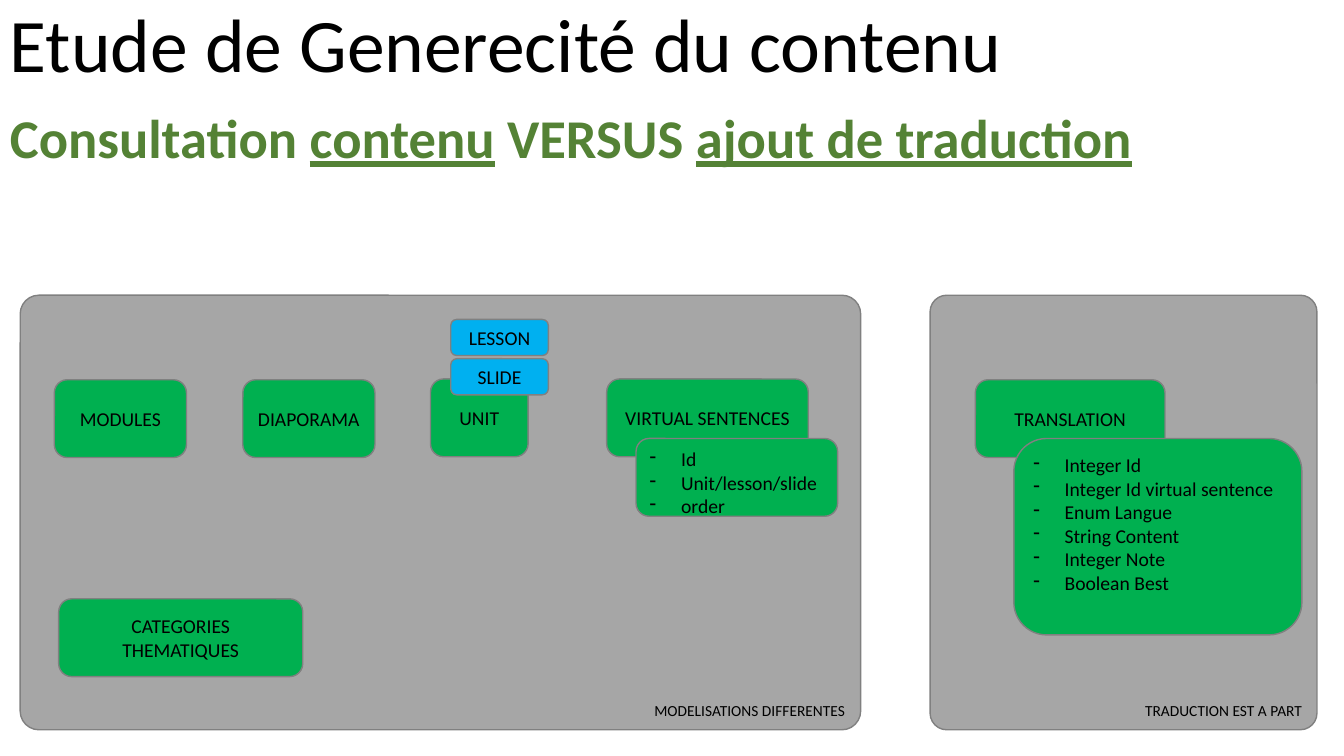
import pptx
import pptx.dml.color
import pptx.enum.shapes
import pptx.enum.text
import pptx.util
from lxml import etree

Cm, Pt = pptx.util.Cm, pptx.util.Pt
RGBColor = pptx.dml.color.RGBColor
ANCHOR = pptx.enum.text.MSO_ANCHOR
ALIGN = pptx.enum.text.PP_ALIGN

BLACK = RGBColor(0x00, 0x00, 0x00)
PANEL_GREY = RGBColor(0xA6, 0xA6, 0xA6)
BORDER_GREY = RGBColor(0x80, 0x80, 0x80)
ENTITY_GREEN = RGBColor(0x00, 0xB0, 0x50)
VARIANT_BLUE = RGBColor(0x00, 0xB0, 0xF0)
HEADING_GREEN = RGBColor(0x54, 0x82, 0x35)

FONT = "Calibri"
SLIDE_WIDTH, SLIDE_HEIGHT = 33.87, 19.05
ENTITY_HEIGHT = 1.96
ENTITY_TOP = 2.13
FIELDS_TOP = 3.61
FIELD_INDENT = 0.79


def style_run(run, size, color=BLACK, bold=False, underline=False):
    run.font.name = FONT
    run.font.size = Pt(size)
    run.font.color.rgb = color
    run.font.bold = bold
    run.font.underline = underline


def add_heading(slide, box, pieces, size, color=BLACK, bold=False):
    """Add a heading line from (text, underlined) pieces."""
    frame = slide.shapes.add_textbox(*map(Cm, box)).text_frame
    frame.word_wrap = True
    frame.vertical_anchor = ANCHOR.BOTTOM
    line = frame.paragraphs[0]
    line.line_spacing = 0.9
    for text, underlined in pieces:
        run = line.add_run()
        run.text = text
        style_run(run, size, color, bold, underlined)


def add_rounded_box(slide, box, text, fill=ENTITY_GREEN, size=14,
                    align=ALIGN.CENTER, anchor=ANCHOR.MIDDLE):
    rounded = slide.shapes.add_shape(
        pptx.enum.shapes.MSO_SHAPE.ROUNDED_RECTANGLE, *map(Cm, box))
    rounded.shadow.inherit = False
    rounded.fill.solid()
    rounded.fill.fore_color.rgb = fill
    rounded.line.color.rgb = BORDER_GREY
    rounded.line.width = Pt(1)
    frame = rounded.text_frame
    frame.word_wrap = True
    frame.vertical_anchor = anchor
    frame.text = text
    for paragraph in frame.paragraphs:
        paragraph.alignment = align
        style_run(paragraph.runs[0], size)
    return rounded


def add_fields(slide, box, fields):
    """Add a box listing the fields of an entity with dashes."""
    listing = add_rounded_box(slide, box, "\n".join(fields),
                              align=ALIGN.LEFT, anchor=ANCHOR.TOP)
    for paragraph in listing.text_frame.paragraphs:
        properties = paragraph._p.get_or_add_pPr()
        properties.set("marL", str(Cm(FIELD_INDENT)))
        properties.set("indent", str(-Cm(FIELD_INDENT)))
        bullet = etree.SubElement(properties, pptx.oxml.ns.qn("a:buChar"))
        bullet.set("char", "-")


def add_panel(slide, box, caption):
    panel = add_rounded_box(slide, box, caption, PANEL_GREY, 11,
                            ALIGN.RIGHT, ANCHOR.BOTTOM)
    panel.adjustments[0] = 0.043


def add_content_panel(slide, box):
    left, top = box[:2]
    add_panel(slide, box, "MODELISATIONS DIFFERENTES")
    entities = [
        ("CATEGORIES THEMATIQUES", 0.97, 7.65, 6.15),
        ("MODULES", 0.86, ENTITY_TOP, 3.33),
        ("DIAPORAMA", 5.61, ENTITY_TOP, 3.33),
        ("UNIT", 10.34, ENTITY_TOP - 0.02, 2.46),
        ("VIRTUAL SENTENCES", 14.78, ENTITY_TOP - 0.02, 5.08),
    ]
    for name, x, y, width in entities:
        add_rounded_box(slide, (left + x, top + y, width, ENTITY_HEIGHT), name)
    for name, y in (("SLIDE", 1.6), ("LESSON", 0.61)):
        add_rounded_box(slide, (left + 10.85, top + y, 2.46, 0.91), name,
                        VARIANT_BLUE)
    add_fields(slide, (left + 15.52, top + FIELDS_TOP, 5.08, ENTITY_HEIGHT),
               ["Id", "Unit/lesson/slide", "order"])


def add_translation_panel(slide, box):
    left, top = box[:2]
    add_panel(slide, box, "TRADUCTION EST A PART")
    add_rounded_box(slide, (left + 1.14, top + ENTITY_TOP, 4.78, ENTITY_HEIGHT),
                    "TRANSLATION")
    add_fields(slide, (left + 2.11, top + FIELDS_TOP, 7.26, 4.95),
               ["Integer Id", "Integer Id virtual sentence", "Enum Langue",
                "String Content", "Integer Note", "Boolean Best"])


def main():
    deck = pptx.Presentation()
    deck.slide_width, deck.slide_height = Cm(SLIDE_WIDTH), Cm(SLIDE_HEIGHT)
    slide = deck.slides.add_slide(deck.slide_layouts[6])

    add_heading(slide, (0, -0.05, SLIDE_WIDTH, 2.41),
                [("Etude de Generecité du contenu", False)], 54)
    add_heading(slide, (0, 2.01, SLIDE_WIDTH, 2.41),
                [("Consultation ", False), ("contenu", True),
                 (" VERSUS ", False), ("ajout de traduction", True)],
                39, HEADING_GREEN, bold=True)
    add_content_panel(slide, (0.51, 7.44, 21.18, 10.95))
    add_translation_panel(slide, (23.44, 7.44, 9.75, 10.95))
    deck.save("out.pptx")


if __name__ == "__main__":
    main()
